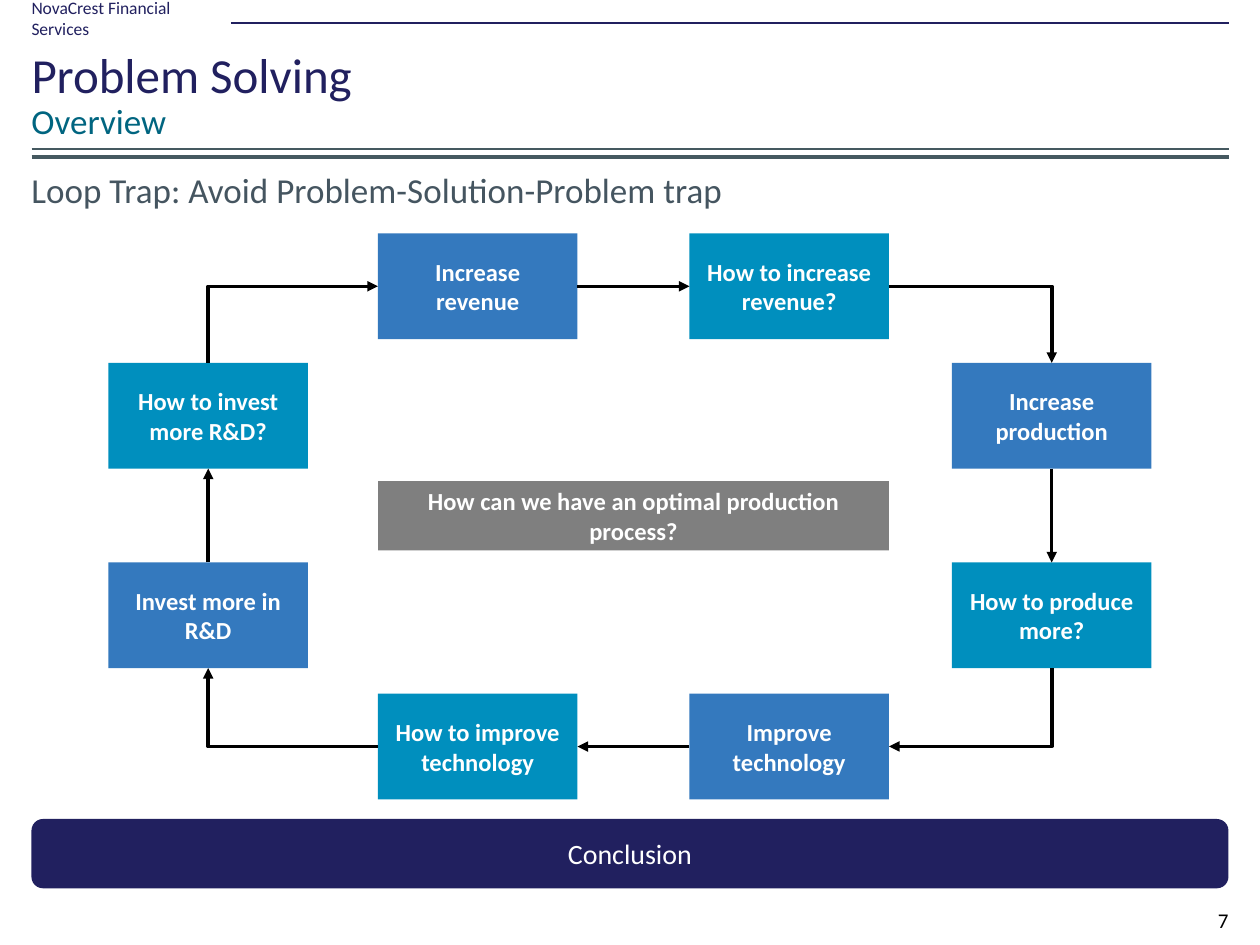
from dataclasses import dataclass
from math import copysign

import pptx
import pptx.dml.color
import pptx.enum.shapes
import pptx.enum.text
import pptx.oxml
import pptx.oxml.ns
import pptx.util

Pt = pptx.util.Pt
Kind = pptx.enum.shapes.MSO_SHAPE
Link = pptx.enum.shapes.MSO_CONNECTOR
Align = pptx.enum.text.PP_ALIGN
Anchor = pptx.enum.text.MSO_ANCHOR


@dataclass(frozen=True)
class Theme:
    font: str = "Calibri"
    navy: str = "21205F"
    teal: str = "006580"
    slate: str = "455560"
    rule: str = "455960"
    blue: str = "3479BE"
    cyan: str = "008FBE"
    gray: str = "7F7F7F"
    white: str = "FFFFFF"
    black: str = "000000"
    title: float = 28
    head: float = 20
    close: float = 16
    box: float = 14
    page: float = 12
    brand: float = 10


@dataclass(frozen=True)
class Area:
    left: float
    top: float
    width: float
    height: float


@dataclass(frozen=True)
class Step:
    text: str
    left: float
    top: float
    flat: bool

    @property
    def area(self) -> Area:
        return Area(self.left, self.top, WIDE, HIGH)

    def port(self, other: "Step") -> tuple[float, float]:
        x, y = self.left + WIDE / 2, self.top + HIGH / 2
        if self.flat:
            return x + copysign(WIDE / 2, other.left - self.left), y
        return x, y + copysign(HIGH / 2, other.top - self.top)


@dataclass(frozen=True)
class Label:
    text: str
    area: Area
    size: float
    color: str
    align: Align = Align.LEFT
    pad: float = 3.6
    before: float = 0


THEME = Theme()
WIDE, HIGH = 114, 60.4
EDGE, SPAN = 18, 684
COLS = (62, 216, 394, 544)
ROWS = (133.4, 207.4, 321.4, 396.4)

STEPS = (
    Step("Increase\nrevenue", COLS[1], ROWS[0], True),
    Step("How to increase revenue?", COLS[2], ROWS[0], True),
    Step("Increase production", COLS[3], ROWS[1], False),
    Step("How to produce more?", COLS[3], ROWS[2], False),
    Step("Improve technology", COLS[2], ROWS[3], True),
    Step("How to improve technology", COLS[1], ROWS[3], True),
    Step("Invest more in R&D", COLS[0], ROWS[2], False),
    Step("How to invest more R&D?", COLS[0], ROWS[1], False),
)

TITLE = Label("Problem Solving", Area(EDGE, 24, SPAN, 36), THEME.title, THEME.navy)
LABELS = (
    Label("NovaCrest Financial Services", Area(EDGE, 4.5, 112, 12), THEME.brand,
          THEME.navy, pad=0),
    Label("Overview", Area(EDGE, 52.6, SPAN, 32), THEME.head, THEME.teal),
    Label("Loop Trap: Avoid Problem-Solution-Problem trap",
          Area(EDGE, 96, SPAN, 25), THEME.head, THEME.slate, before=6),
    Label("7", Area(672, 511, 30, 29), THEME.page, THEME.black, Align.RIGHT),
)


def tint(code: str) -> pptx.dml.color.RGBColor:
    return pptx.dml.color.RGBColor.from_string(code)


def style(frame, text: str, size: float, color: str, align: Align,
          bold: bool = False, before: float = 0) -> None:
    frame.text = text
    frame.word_wrap = True
    frame.auto_size = pptx.enum.text.MSO_AUTO_SIZE.NONE
    frame.vertical_anchor = Anchor.MIDDLE
    for para in frame.paragraphs:
        para.alignment = align
        para.space_before = Pt(before)
        for run in para.runs:
            run.font.name = THEME.font
            run.font.size = Pt(size)
            run.font.bold = bold
            run.font.color.rgb = tint(color)


def place(area: Area) -> tuple:
    return Pt(area.left), Pt(area.top), Pt(area.width), Pt(area.height)


def write(shape, label: Label) -> None:
    shape.left, shape.top, shape.width, shape.height = place(label.area)
    frame = shape.text_frame
    style(frame, label.text, label.size, label.color, label.align,
          before=label.before)
    frame.margin_left = frame.margin_right = 0
    frame.margin_top = frame.margin_bottom = Pt(label.pad)


def block(slide, area: Area, text: str, fill: str, size: float = THEME.box,
          bold: bool = True, kind: Kind = Kind.RECTANGLE) -> None:
    shape = slide.shapes.add_shape(kind, *place(area))
    shape.shadow.inherit = False
    shape.fill.solid()
    shape.fill.fore_color.rgb = tint(fill)
    shape.line.fill.background()
    style(shape.text_frame, text, size, THEME.white, Align.CENTER, bold)


def stroke(slide, start: tuple, end: tuple, color: str, width: float,
           kind: Link = Link.STRAIGHT):
    line = slide.shapes.add_connector(kind, *map(Pt, start + end))
    line.line.color.rgb = tint(color)
    line.line.width = Pt(width)
    props = line._element.spPr
    props.append(pptx.oxml.parse_xml(
        f"<a:effectLst {pptx.oxml.ns.nsdecls('a')}/>"))
    return line


def arrow(slide, source: Step, goal: Step) -> None:
    start, end = source.port(goal), goal.port(source)
    bent = source.flat != goal.flat
    back = bent and goal.flat
    if back:
        start, end = end, start
    line = stroke(slide, start, end, THEME.black, 2,
                  Link.ELBOW if bent else Link.STRAIGHT)
    if bent:
        line._element.spPr.prstGeom.set("prst", "bentConnector2")
    tip = "headEnd" if back else "tailEnd"
    line.line._get_or_add_ln().append(pptx.oxml.parse_xml(
        f"<a:{tip} {pptx.oxml.ns.nsdecls('a')} type='triangle'/>"))


def main() -> None:
    deck = pptx.Presentation()
    deck.slide_width, deck.slide_height = Pt(720), Pt(540)
    slide = deck.slides.add_slide(deck.slide_layouts.get_by_name("Title Only"))
    for left, top, color, width in (
        (132, 13, THEME.navy, 1),
        (EDGE, 85, THEME.rule, 1),
        (EDGE, 89.8, THEME.rule, 2.25),
    ):
        stroke(slide, (left, top), (EDGE + SPAN, top), color, width)
    write(slide.shapes.title, TITLE)
    for label in LABELS:
        write(slide.shapes.add_textbox(*place(label.area)), label)
    for i, step in enumerate(STEPS):
        block(slide, step.area, step.text, (THEME.blue, THEME.cyan)[i % 2])
    block(slide, Area(COLS[1], 275, COLS[2] + WIDE - COLS[1], 39.6),
          "How can we have an optimal production process?", THEME.gray)
    for source, goal in zip(STEPS, STEPS[1:] + STEPS[:1]):
        arrow(slide, source, goal)
    block(slide, Area(EDGE, 468, SPAN, 39.6), "Conclusion", THEME.navy,
          THEME.close, False, Kind.ROUNDED_RECTANGLE)
    deck.save("out.pptx")


if __name__ == "__main__":
    main()
